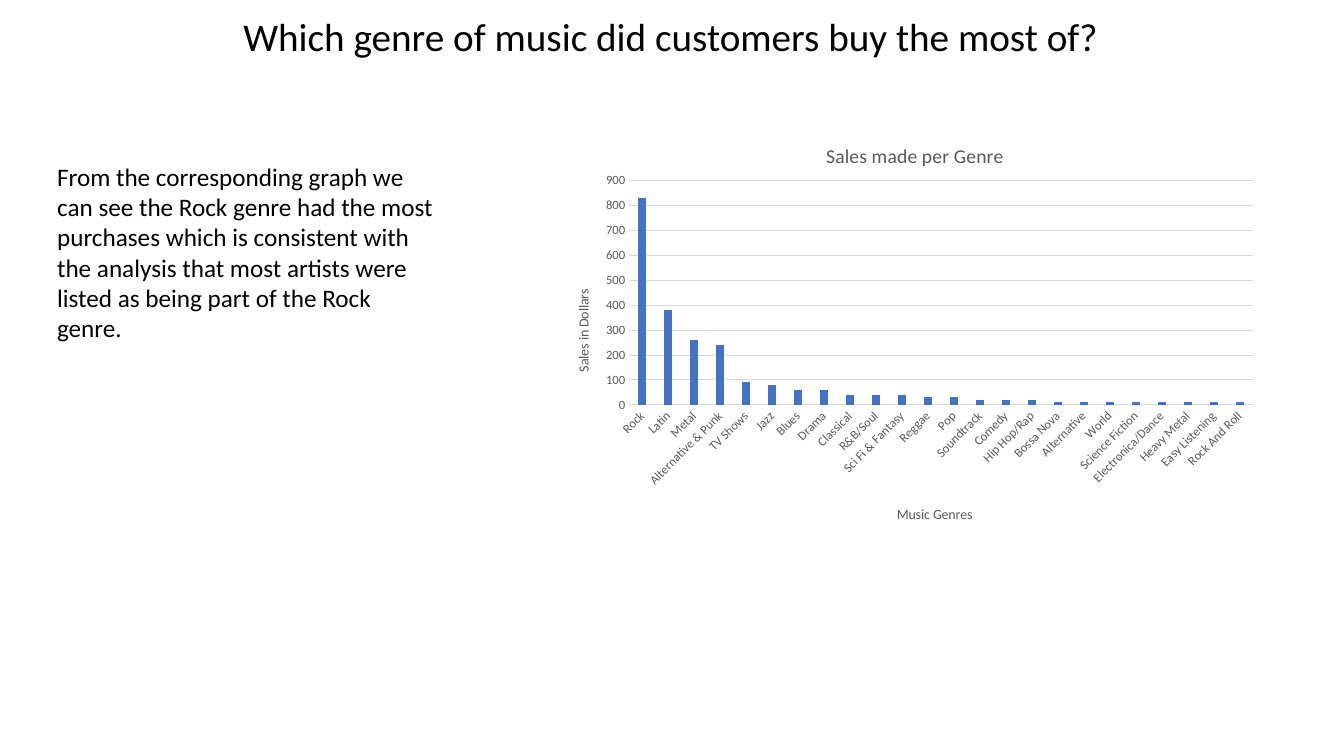
from dataclasses import dataclass

from lxml import etree
from pptx import Presentation
from pptx.chart.data import CategoryChartData
from pptx.dml.color import RGBColor
from pptx.enum.chart import XL_CHART_TYPE, XL_TICK_MARK
from pptx.enum.text import MSO_ANCHOR, MSO_AUTO_SIZE, PP_ALIGN
from pptx.oxml.ns import qn
from pptx.util import Cm, Pt

COLUMN = XL_CHART_TYPE.COLUMN_CLUSTERED
NO_TICK = XL_TICK_MARK.NONE
MIDDLE = MSO_ANCHOR.MIDDLE
NO_FIT = MSO_AUTO_SIZE.NONE
CENTER = PP_ALIGN.CENTER
LEFT = PP_ALIGN.LEFT

BLACK = RGBColor(0x00, 0x00, 0x00)
GRAY = RGBColor(0x59, 0x59, 0x59)
PALE = RGBColor(0xD9, 0xD9, 0xD9)
BLUE = RGBColor(0x44, 0x72, 0xC4)
FONT = "Calibri"

SALES = {
    "Rock": 830, "Latin": 380, "Metal": 260, "Alternative & Punk": 240,
    "TV Shows": 90, "Jazz": 80, "Blues": 60, "Drama": 60,
    "Classical": 40, "R&B/Soul": 40, "Sci Fi & Fantasy": 40, "Reggae": 30,
    "Pop": 30, "Soundtrack": 20, "Comedy": 20, "Hip Hop/Rap": 20,
    "Bossa Nova": 10, "Alternative": 10, "World": 10, "Science Fiction": 10,
    "Electronica/Dance": 10, "Heavy Metal": 10, "Easy Listening": 10,
    "Rock And Roll": 10,
}


@dataclass
class Block:
    text: str
    size: int
    align: int
    spacing: float
    left: float
    top: float
    width: float
    height: float


@dataclass
class Label:
    text: str
    size: int
    x: float
    y: float
    turn: int = 0


HEAD = Block("Which genre of music did customers buy the most of?",
             28, CENTER, 0.9, 2.29, 0, 29.21, 1.98)
NOTE = Block("From the corresponding graph we can see the Rock genre had the "
             "most purchases which is consistent with the analysis that most "
             "artists were listed as being part of the Rock genre.",
             18, LEFT, 1.0, 1.19, 3.94, 10.08, 4.88)


def style(font, size: int, color: RGBColor) -> None:
    font.name = FONT
    font.size = Pt(size)
    font.bold = False
    font.color.rgb = color


def write(shape, block: Block) -> None:
    shape.left, shape.top = Cm(block.left), Cm(block.top)
    shape.width, shape.height = Cm(block.width), Cm(block.height)
    frame = shape.text_frame
    frame.text = block.text
    frame.word_wrap = True
    frame.auto_size = NO_FIT
    para = frame.paragraphs[0]
    para.alignment = block.align
    para.line_spacing = block.spacing
    style(para.runs[0].font, block.size, BLACK)


def place(node, **parts: float) -> None:
    """Fix a chart part at fractions of the chart area."""
    for old in node.findall(qn("c:layout")):
        node.remove(old)
    layout = etree.Element(qn("c:layout"))
    manual = etree.SubElement(layout, qn("c:manualLayout"))
    if "w" in parts:
        etree.SubElement(manual, qn("c:layoutTarget")).set("val", "inner")
    for key in ("x", "y"):
        etree.SubElement(manual, qn(f"c:{key}Mode")).set("val", "edge")
    for key, value in parts.items():
        etree.SubElement(manual, qn(f"c:{key}")).set("val", str(value))
    text = node.find(qn("c:tx"))
    node.insert(0 if text is None else node.index(text) + 1, layout)


def caption(title, label: Label) -> None:
    frame = title.text_frame
    frame.text = label.text
    style(frame.paragraphs[0].runs[0].font, label.size, GRAY)
    body = title._element.find(".//" + qn("a:bodyPr"))
    body.set("rot", str(label.turn * 60000))
    body.set("vert", "horz")
    place(title._element, x=label.x, y=label.y)


def ruled(axis, label: Label) -> None:
    """Format an axis with its labels and title."""
    axis.major_tick_mark = axis.minor_tick_mark = NO_TICK
    style(axis.tick_labels.font, 9, GRAY)
    caption(axis.axis_title, label)


def graph(slide) -> None:
    data = CategoryChartData()
    data.categories = list(SALES)
    data.add_series("Series 1", list(SALES.values()))
    chart = slide.shapes.add_chart(COLUMN, Cm(13.87), Cm(2.95), Cm(18.06),
                                   Cm(10.67), data).chart
    style(chart.font, 10, BLACK)
    chart.has_legend = False
    chart.has_title = True
    caption(chart.chart_title, Label("Sales made per Genre", 14, 0.38, 0.05))
    place(chart.element.chart.plotArea, x=0.11, y=0.15, w=0.87, h=0.53)

    plot = chart.plots[0]
    plot.gap_width, plot.overlap = 219, -27
    plot.vary_by_categories = False
    fill = plot.series[0].format.fill
    fill.solid()
    fill.fore_color.rgb = BLUE

    genres, dollars = chart.category_axis, chart.value_axis
    ruled(genres, Label("Music Genres", 10, 0.48, 0.91))
    ruled(dollars, Label("Sales in Dollars", 10, 0.03, 0.4, -90))
    genres.has_major_gridlines = False
    slant = genres._element.find(qn("c:txPr")).find(qn("a:bodyPr"))
    slant.set("rot", str(-45 * 60000))
    dollars.minimum_scale, dollars.maximum_scale = 0, 900
    dollars.major_unit = 100
    dollars.format.line.fill.background()
    for line in (genres.format.line, dollars.major_gridlines.format.line):
        line.color.rgb = PALE
        line.width = Pt(0.75)


def main() -> None:
    deck = Presentation()
    deck.slide_width, deck.slide_height = Cm(33.87), Cm(19.05)
    slide = deck.slides.add_slide(deck.slide_layouts[5])
    title = slide.shapes.title
    write(title, HEAD)
    title.text_frame.vertical_anchor = MIDDLE
    write(slide.shapes.add_textbox(0, 0, 0, 0), NOTE)
    graph(slide)
    deck.save("out.pptx")


if __name__ == "__main__":
    main()
